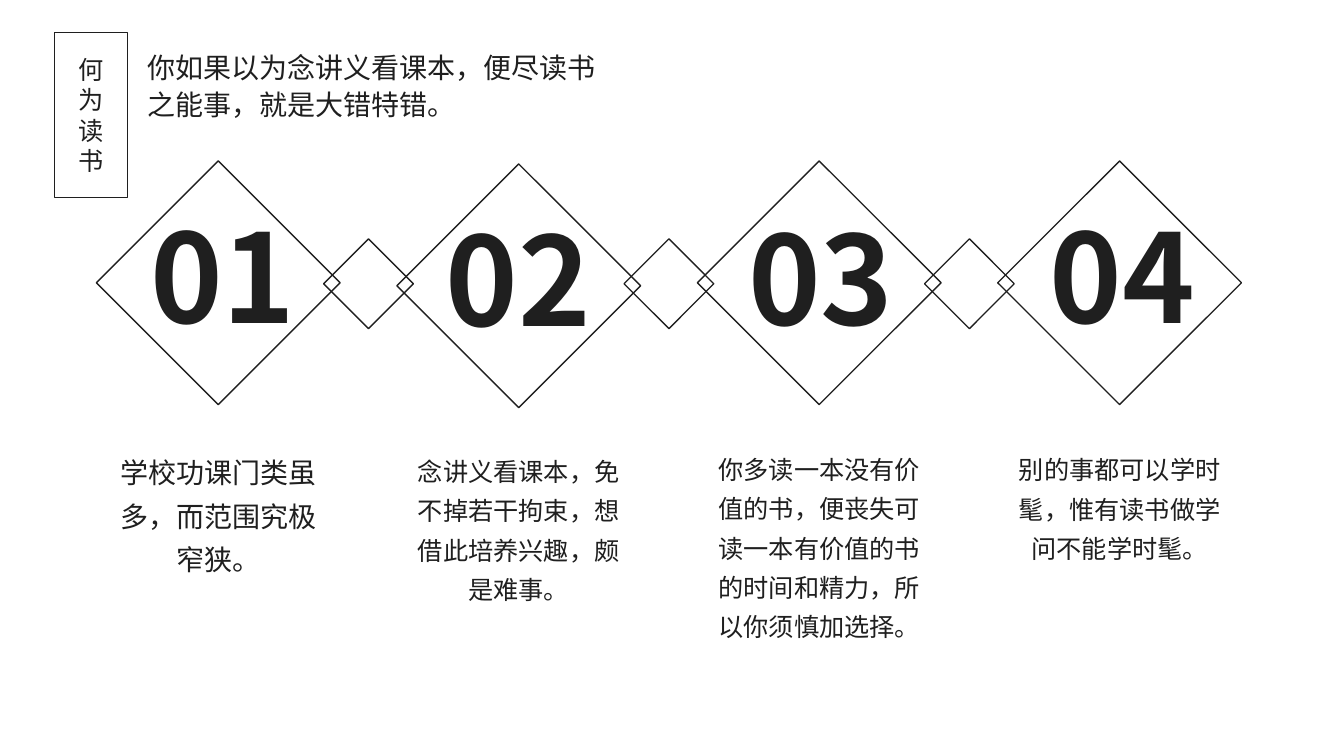
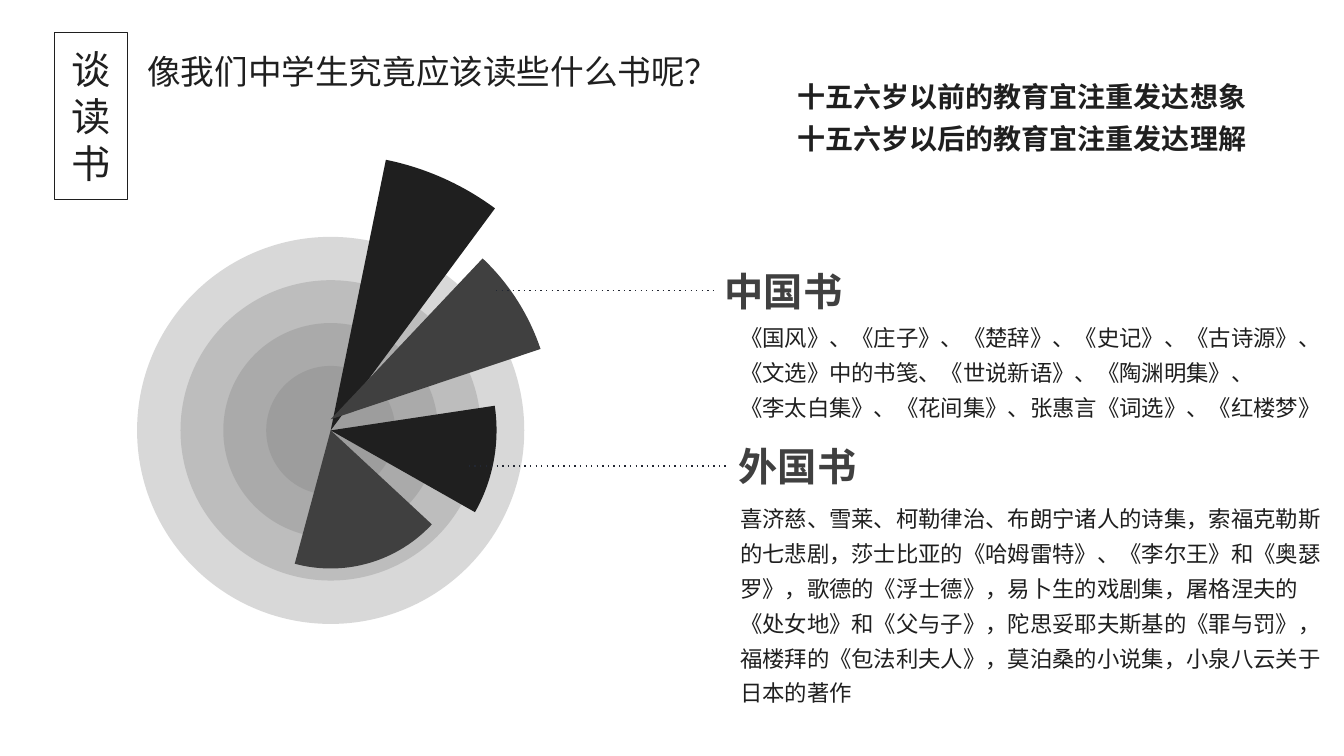
from dataclasses import dataclass

from lxml import etree
from pptx import Presentation
from pptx.dml.color import RGBColor
from pptx.enum.shapes import MSO_CONNECTOR, MSO_SHAPE
from pptx.enum.text import MSO_ANCHOR, MSO_AUTO_SIZE, PP_ALIGN
from pptx.oxml.ns import qn
from pptx.util import Inches, Pt

RECTANGLE, OVAL, PIE = MSO_SHAPE.RECTANGLE, MSO_SHAPE.OVAL, MSO_SHAPE.PIE
STRAIGHT = MSO_CONNECTOR.STRAIGHT
LEFT, CENTER = PP_ALIGN.LEFT, PP_ALIGN.CENTER
TOP, MIDDLE = MSO_ANCHOR.TOP, MSO_ANCHOR.MIDDLE
FIT, FIXED = MSO_AUTO_SIZE.SHAPE_TO_FIT_TEXT, MSO_AUTO_SIZE.NONE
TWO_CONTENT, TITLE_ONLY = 3, 5
LEFT_SIDE = 1


@dataclass(frozen=True)
class Theme:
    ink: str = "1F1F1F"
    soft: str = "404040"
    ring: str = "808080"
    leader: str = "222732"
    font: str = "Noto Sans CJK SC"
    tag_font: str = "Roboto Condensed"
    number: int = 88
    heading: int = 28
    title: int = 24
    lead: int = 20
    caption: int = 18
    body: int = 16


THEME = Theme()


class Page:
    """Holds the style and the current slide."""

    def __init__(self, deck, layout, theme=THEME):
        self.theme = theme
        self.slide = deck.slides.add_slide(deck.slide_layouts[layout])
        self.shapes = self.slide.shapes

    # Text
    def set_text(self, box, text, size, color=None, font=None, bold=False,
                 align=LEFT, spacing=1.0, before=0, anchor=TOP, wrap=True,
                 inset=(0.1, 0.05), fit=FIT):
        frame = box.text_frame
        frame.text = text
        frame.word_wrap = wrap
        frame.auto_size = fit
        frame.vertical_anchor = anchor
        frame.margin_left = frame.margin_right = Inches(inset[0])
        frame.margin_top = frame.margin_bottom = Inches(inset[1])
        for para in frame.paragraphs:
            para.alignment = align
            para.line_spacing = spacing
            para.space_before = Pt(before)
            para.font.size = Pt(size)
            para.font.bold = bold
            para.font.color.rgb = RGBColor.from_string(color or self.theme.ink)
            para.font.name = font or self.theme.font
            # East Asian typeface, no bullet and no hanging indent
            props = para._p.get_or_add_pPr()
            defaults = props.find(qn("a:defRPr"))
            etree.SubElement(defaults, qn("a:ea"), typeface=para.font.name)
            props.set("marL", "0")
            props.set("indent", "0")
            defaults.addprevious(etree.Element(qn("a:buNone")))
        return box

    def text(self, place, text, size, **style):
        box = self.shapes.add_textbox(*map(Inches, place))
        return self.set_text(box, text, size, **style)

    def fill_placeholder(self, index, place, text, size, **style):
        box = self.slide.placeholders[index]
        box.left, box.top, box.width, box.height = map(Inches, place)
        return self.set_text(box, text, size, **style)

    def header(self, tag, tag_size, tag_height, title, title_size, place):
        self.fill_placeholder(0, place, title, title_size, spacing=1.1,
                              anchor=MIDDLE, inset=(0.13, 0.07))
        box = self.shape(RECTANGLE, (0.54, 0.32, 0.72, tag_height), line=0.75)
        self.set_text(box, tag, tag_size, font=self.theme.tag_font, align=CENTER,
                      anchor=MIDDLE, inset=(0.13, 0.07), fit=FIXED)

    # Shapes
    def shape(self, kind, place, fill=None, line=None):
        shape = self.shapes.add_shape(kind, *map(Inches, place))
        shape.shadow.inherit = False
        if fill:
            shape.fill.solid()
            shape.fill.fore_color.rgb = RGBColor.from_string(fill)
        else:
            shape.fill.background()
        if line:
            shape.line.width = Pt(line)
            shape.line.color.rgb = RGBColor.from_string(self.theme.ink)
        else:
            shape.line.fill.background()
        return shape

    def diamond(self, left, top, side):
        self.shape(RECTANGLE, (left, top, side, side), line=1).rotation = 315

    def disc(self, kind, center, diameter, fill):
        x, y = center
        place = (x - diameter / 2, y - diameter / 2, diameter, diameter)
        return self.shape(kind, place, fill)

    def ring(self, center, diameter):
        ring = self.disc(OVAL, center, diameter, self.theme.ring)
        color = ring._element.spPr.find(".//" + qn("a:srgbClr"))
        etree.SubElement(color, qn("a:alpha"), val="30000")

    def wedge(self, center, diameter, start, end, fill):
        wedge = self.disc(PIE, center, diameter, fill)
        # Angles are stored in 1/60000 degree, adjustments in 1/100000
        wedge.adjustments[0] = start * 0.6
        wedge.adjustments[1] = end * 0.6

    def leader(self, start, heading):
        middle = heading.top + heading.height // 2
        line = self.shapes.add_connector(STRAIGHT, Inches(start), middle,
                                         heading.left, middle)
        line.end_connect(heading, LEFT_SIDE)
        line.line.width = Pt(1)
        line.line.color.rgb = RGBColor.from_string(self.theme.leader)
        props = line._element.spPr
        etree.SubElement(props.find(qn("a:ln")), qn("a:prstDash"), val="dot")
        etree.SubElement(props, qn("a:effectLst"))


def build_meaning(deck):
    page = Page(deck, TITLE_ONLY)
    pitch = 2.98

    # Small linking diamonds
    for index in range(3):
        page.diamond(3.34 + pitch * index, 2.5, 0.63)

    # Numbered diamonds: drop, number left and top, caption top, height, size, text
    steps = [
        (0, 1.35, 1.94, 4.37, 1.41, THEME.lead,
         "学校功课门类虽多，而范围究极窄狭。"),
        (0.03, 4.28, 1.97, 4.39, 1.67, THEME.caption,
         "念讲义看课本，免不掉若干拘束，想借此培养兴趣，颇是难事。"),
        (0, 7.28, 1.96, 4.37, 2.07, THEME.caption,
         "你多读一本没有价值的书，便丧失可读一本有价值的书的时间和精力，所以你须慎加选择。"),
        (0, 10.27, 1.94, 4.37, 1.28, THEME.caption,
         "别的事都可以学时髦，惟有读书做学问不能学时髦。"),
    ]
    for index, (drop, left, top, caption_top, height, size, caption) in enumerate(steps):
        shift = pitch * index
        page.diamond(1.31 + shift, 1.95 + drop, 1.71)
        page.text((left, top, 1.72, 1.58), f"{index + 1:02}", THEME.number,
                  bold=True, align=CENTER, wrap=False)
        page.text((1.01 + shift, caption_top, 2.31, height), caption, size,
                  align=CENTER, spacing=1.3, before=8)

    page.header("何为读书", THEME.caption, 1.64,
                "你如果以为念讲义看课本，便尽读书之能事，就是大错特错。",
                THEME.lead, (1.33, 0.4, 4.96, 0.87))


def build_reading(deck):
    page = Page(deck, TWO_CONTENT)
    center = (3.28, 4.27)

    # Rings and wedges
    for diameter in (3.84, 2.98, 2.13, 1.28):
        page.ring(center, diameter)
    wedges = [
        (center, 5.48, 281.52, 306.49, THEME.ink),
        ((3.28, 4.16), 4.39, 313.35, 341.45, THEME.soft),
        (center, 3.29, 351.45, 29.55, THEME.ink),
        (center, 2.74, 42.89, 105.07, THEME.soft),
    ]
    for wedge in wedges:
        page.wedge(*wedge)

    # Statements
    for top, age in ((0.74, "前的教育宜注重发达想象"), (1.16, "后的教育宜注重发达理解")):
        page.text((7.81, top, 4.73, 0.44), "十五六岁以" + age, THEME.lead, bold=True)

    # Book lists, each with its heading and leader line
    lists = [
        ("中国书", 7.09, 2.6, 4.92, (7.24, 3.09, 6.1, 1.15),
         "《国风》、《庄子》、《楚辞》、《史记》、《古诗源》、"
         "《文选》中的书笺、《世说新语》、《陶渊明集》、\n"
         "《李太白集》、《花间集》、张惠言《词选》、《红楼梦》"),
        ("外国书", 7.23, 4.34, 4.65, (7.24, 4.88, 6.06, 2.2),
         "喜济慈、雪莱、柯勒律治、布朗宁诸人的诗集，索福克勒斯的七悲剧，"
         "莎士比亚的《哈姆雷特》、《李尔王》和《奥瑟罗》，歌德的《浮士德》，"
         "易卜生的戏剧集，屠格涅夫的《处女地》和《父与子》，"
         "陀思妥耶夫斯基的《罪与罚》，福楼拜的《包法利夫人》，"
         "莫泊桑的小说集，小泉八云关于日本的著作"),
    ]
    for index, (name, left, top, start, place, books) in enumerate(lists, 1):
        page.fill_placeholder(index, place, books, THEME.body, spacing=1.3)
        heading = page.text((left, top, 1.94, 0.57), name, THEME.heading,
                            color=THEME.soft, bold=True)
        page.leader(start, heading)

    page.header("谈读书", THEME.heading, 1.66, "像我们中学生究竟应该读些什么书呢？",
                THEME.title, (1.33, 0.39, 5.91, 0.58))


def main():
    deck = Presentation()
    deck.slide_width, deck.slide_height = Inches(13.33), Inches(7.5)
    build_meaning(deck)
    build_reading(deck)
    deck.save("out.pptx")


if __name__ == "__main__":
    main()
